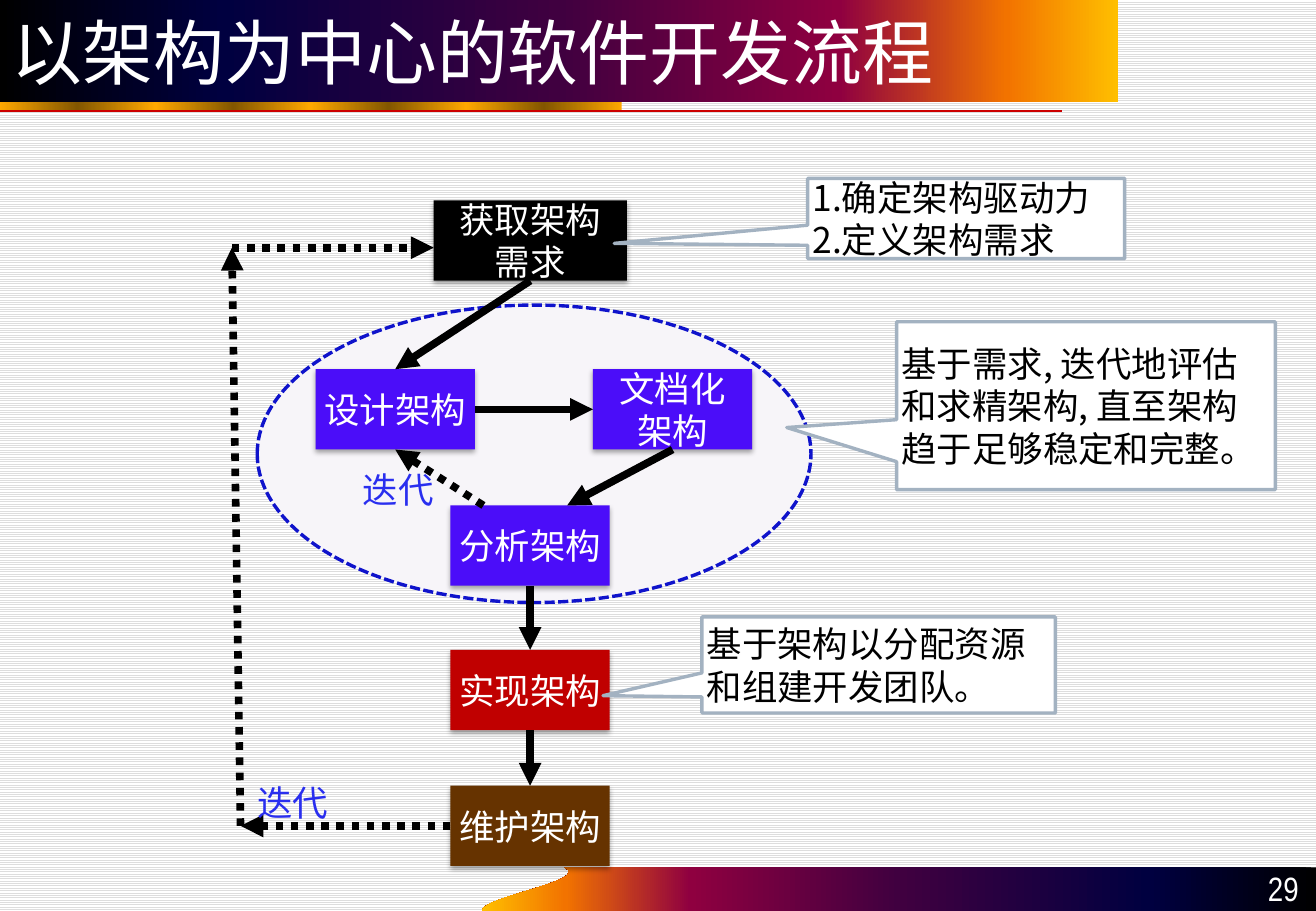
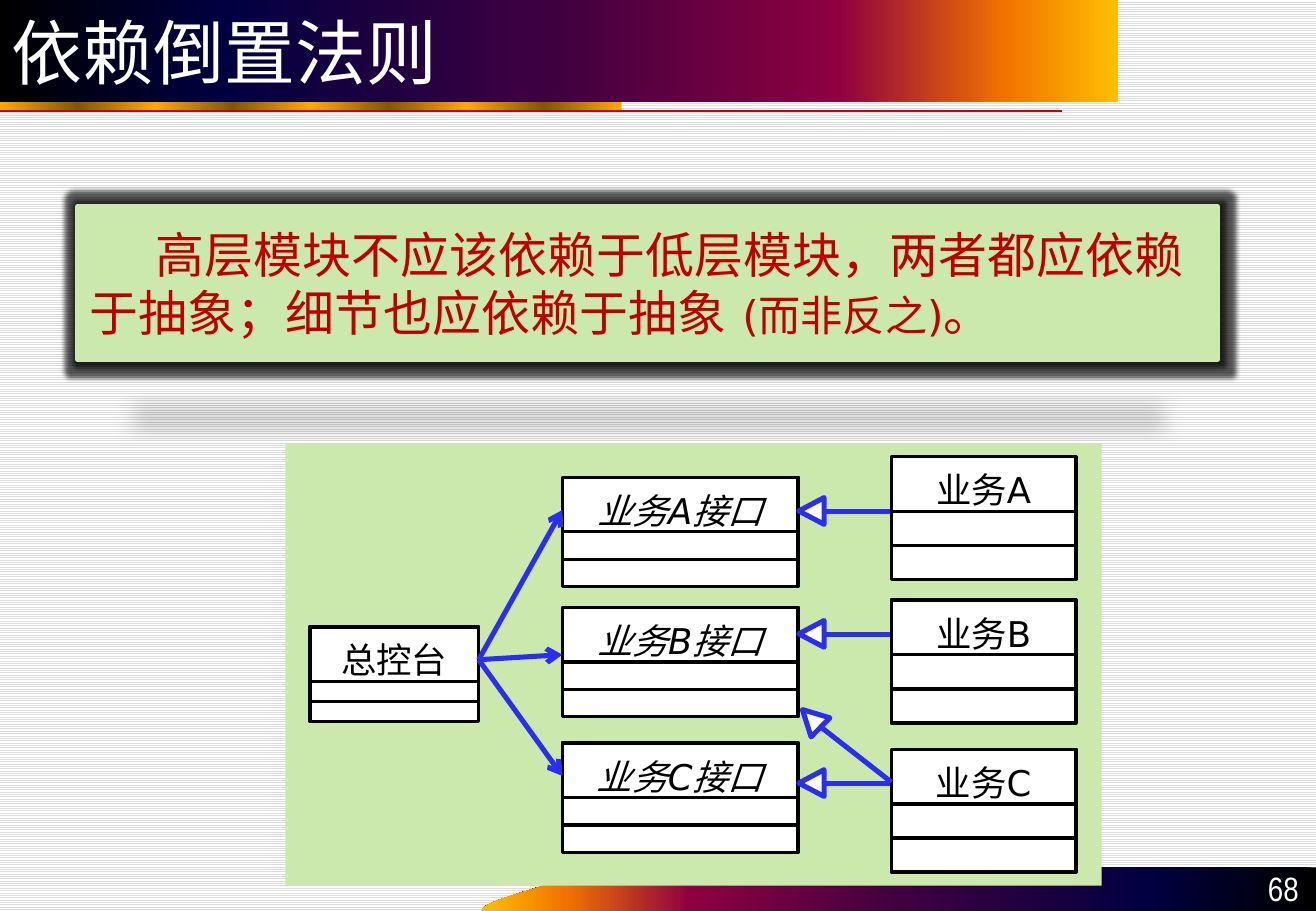
from dataclasses import dataclass
from typing import Any, NamedTuple, Optional

from pptx import Presentation
from pptx.dml.color import RGBColor
from pptx.enum.dml import MSO_LINE, MSO_PATTERN
from pptx.enum.shapes import MSO_CONNECTOR, MSO_SHAPE
from pptx.enum.text import MSO_ANCHOR, PP_ALIGN
from pptx.oxml.ns import qn
from pptx.oxml.xmlchemy import OxmlElement
from pptx.util import Cm, Pt

BLACK = RGBColor(0x00, 0x00, 0x00)
WHITE = RGBColor(0xFF, 0xFF, 0xFF)
STRIPE = RGBColor(0xDD, 0xDD, 0xDD)
RED = RGBColor(0xC0, 0x00, 0x00)
RULE_RED = RGBColor(0xCC, 0x00, 0x00)
VIOLET = RGBColor(0x4B, 0x0D, 0xF9)
BROWN = RGBColor(0x66, 0x33, 0x00)
BLUE = RGBColor(0x29, 0x2E, 0xEF)
DASH_BLUE = RGBColor(0x0F, 0x13, 0xCB)
PALE = RGBColor(0xF7, 0xF5, 0xF9)
GRAY_BLUE = RGBColor(0xA3, 0xB2, 0xC1)
GREEN = RGBColor(0xCC, 0xE9, 0xAD)
GOLD = RGBColor(0xFF, 0xA8, 0x00)
DARK_GOLD = RGBColor(0x82, 0x56, 0x00)
SUNSET = [(0, BLACK), (20, RGBColor(0x00, 0x00, 0x40)), (50, RGBColor(0x40, 0x00, 0x40)),
          (75, RGBColor(0x8F, 0x00, 0x40)), (90, RGBColor(0xF2, 0x73, 0x00)),
          (100, RGBColor(0xFF, 0xBF, 0x00))]
GOLD_BAND = [(i * 12.5, DARK_GOLD if i % 2 else GOLD) for i in range(9)]

CJK, SANS, NARROW = "Noto Sans CJK SC", "DejaVu Sans", "Arial Narrow"
BODY = {"name": CJK, "size": Pt(21), "color": BLACK}
BODY_SANS = {**BODY, "name": SANS}
TITLE = {"name": SANS, "size": Pt(42), "color": WHITE}
NUMBER = {"name": NARROW, "size": Pt(20), "color": WHITE}
TIGHT = {"margin_left": Cm(0.1), "margin_right": Cm(0.1),
         "margin_top": Cm(0.05), "margin_bottom": Cm(0.05)}
ROOMY = {"margin_left": Cm(0.25), "margin_right": Cm(0.25),
         "margin_top": Cm(0.13), "margin_bottom": Cm(0.13)}

SLIDE_W, SLIDE_H = 27.52, 19.05
TOP, LEFT, BOTTOM, RIGHT = range(4)
HEADER_H, DIVIDER = 1.37, 1.14


class Box(NamedTuple):
    x: float
    y: float
    w: float
    h: float


class Run(NamedTuple):
    text: str
    fmt: dict[str, Any]


@dataclass
class Step:
    text: str
    box: Box
    color: RGBColor


@dataclass
class Callout:
    paragraphs: list[str]
    box: Box
    tip: tuple[float, float]
    numbered: bool = False


@dataclass
class UmlClass:
    runs: list[Run]
    box: Box


def add_xml(parent: Any, tag: str, **attrs: Any) -> Any:
    el = OxmlElement(tag)
    for k, v in attrs.items():
        el.set(k, str(v))
    parent.append(el)
    return el


def write(sp: Any, paragraphs: list[list[Run]], align: Any = PP_ALIGN.LEFT,
          anchor: Any = MSO_ANCHOR.MIDDLE, margins: dict = TIGHT, wrap: bool = True) -> Any:
    tf = sp.text_frame
    for k, v in {**margins, "word_wrap": wrap, "vertical_anchor": anchor}.items():
        setattr(tf, k, v)
    for i, runs in enumerate(paragraphs):
        p = tf.add_paragraph() if i else tf.paragraphs[0]
        p.alignment = align
        for run in runs:
            for j, part in enumerate(run.text.split("\v")):
                if j:
                    p.add_line_break()
                r = p.add_run()
                r.text = part
                for k, v in run.fmt.items():
                    if k == "color":
                        r.font.color.rgb = v
                    else:
                        setattr(r.font, k, v)
                add_xml(r.font._element, "a:ea", typeface=run.fmt["name"])
    return tf


def set_line(line: Any, color: Optional[RGBColor], width: float, dash: Any = None) -> None:
    if color is None:
        line.fill.background()
        return
    line.color.rgb = color
    line.width = Pt(width)
    if dash:
        line.dash_style = dash


def add_box(s: Any, box: Box, fill: RGBColor, line: Optional[RGBColor] = None,
            width: float = 2, dash: Any = None, kind: Any = MSO_SHAPE.RECTANGLE) -> Any:
    sp = s.shapes.add_shape(kind, *map(Cm, box))
    sp.shadow.inherit = False
    sp.fill.solid()
    sp.fill.fore_color.rgb = fill
    set_line(sp.line, line, width, dash)
    return sp


def add_label(s: Any, box: Box, text: str, fmt: dict, **layout: Any) -> None:
    write(s.shapes.add_textbox(*map(Cm, box)), [[Run(text, fmt)]], **layout)


def add_line(s: Any, start: tuple, end: tuple, color: RGBColor, width: float,
             tail: str = "", dash: Any = None) -> None:
    ends = [start, end]
    points = [(0, 0) if hasattr(e[0], "shape_id") else e for e in ends]
    cx = s.shapes.add_connector(MSO_CONNECTOR.STRAIGHT, *(Cm(v) for pt in points for v in pt))
    for e, connect in zip(ends, (cx.begin_connect, cx.end_connect)):
        if hasattr(e[0], "shape_id"):
            connect(*e)
    add_xml(cx._element.spPr, "a:effectLst")
    set_line(cx.line, color, width, dash)
    if tail:
        add_xml(cx.line._get_or_add_ln(), "a:tailEnd", type=tail)


def add_shadow(sp: Any, alpha: int, blur: float, dist: float, glow: float = 0, **scale: int) -> None:
    effects = sp._element.spPr.find(qn("a:effectLst"))
    if glow:
        el = add_xml(effects, "a:glow", rad=Pt(glow))
        add_xml(add_xml(el, "a:srgbClr", val=BLACK), "a:alpha", val=65000)
    el = add_xml(effects, "a:outerShdw", blurRad=Pt(blur), dist=Pt(dist), dir=5400000,
                 **scale, algn="b", rotWithShape=0)
    add_xml(add_xml(el, "a:srgbClr", val=BLACK), "a:alpha", val=alpha * 1000)


def set_gradient(sp: Any, stops: list, angle: int = 0) -> None:
    sp.shadow.inherit = False
    sp.line.fill.background()
    sp.fill.gradient()
    sp.fill.gradient_angle = angle
    gs_list = sp._element.spPr.find(qn("a:gradFill")).find(qn("a:gsLst"))
    for gs in list(gs_list):
        gs_list.remove(gs)
    for pos, color in stops:
        add_xml(add_xml(gs_list, "a:gs", pos=int(pos * 1000)), "a:srgbClr", val=color)


def bezier(a: tuple, b: tuple, c: tuple, d: tuple, n: int = 16) -> list[tuple]:
    ts = [i / n for i in range(n + 1)]
    return [tuple(Cm((1 - t) ** 3 * p0 + 3 * t * (1 - t) ** 2 * p1
                     + 3 * t * t * (1 - t) * p2 + t ** 3 * p3)
                  for p0, p1, p2, p3 in zip(a, b, c, d)) for t in ts]


def add_frame(prs: Any, title: str, number: str) -> Any:
    s = prs.slides.add_slide(prs.slide_layouts[6])
    curve = bezier((10.08, SLIDE_H), (10.08, 18.75), (12.37, 18.42), (11.81, 18.14))
    fb = s.shapes.build_freeform(*curve[0], scale=1.0)
    corners = [(Cm(SLIDE_W), Cm(18.14)), (Cm(SLIDE_W), Cm(SLIDE_H))]
    fb.add_line_segments(curve[1:] + corners, close=True)
    set_gradient(fb.convert_to_shape(), SUNSET, 180)
    set_gradient(add_box(s, Box(0, 1.93, 13, 0.39), GOLD), GOLD_BAND)
    add_line(s, (0, 2.32), (22.2, 2.32), RULE_RED, 1)
    banner = add_box(s, Box(0, 0, 23.39, 2.13), BLACK)
    set_gradient(banner, SUNSET)
    write(banner, [[Run(title, TITLE)]], margins=ROOMY)
    add_label(s, Box(24.97, 18.11, 2.44, 1.02), number, NUMBER,
              align=PP_ALIGN.RIGHT, anchor=MSO_ANCHOR.BOTTOM, margins=ROOMY)
    return s


def add_step(s: Any, step: Step) -> Any:
    sp = add_box(s, step.box, step.color)
    add_shadow(sp, 35, 3.1, 1.8)
    write(sp, [[Run(step.text, {**BODY, "color": WHITE})]], PP_ALIGN.CENTER)
    return sp


def add_callout(s: Any, callout: Callout) -> None:
    sp = add_box(s, callout.box, WHITE, GRAY_BLUE, kind=MSO_SHAPE.RECTANGULAR_CALLOUT)
    for i, v in enumerate(callout.tip):
        sp.adjustments[i] = v
    tf = write(sp, [[Run(text, BODY)] for text in callout.paragraphs])
    if callout.numbered:
        for p in tf.paragraphs:
            pPr = p._p.get_or_add_pPr()
            pPr.set("marL", str(Cm(0.4)))
            pPr.set("indent", str(-Cm(0.4)))
            add_xml(pPr, "a:buFont", typeface="+mj-lt")
            add_xml(pPr, "a:buAutoNum", type="arabicPeriod")


def add_class(s: Any, uml: UmlClass) -> Any:
    x, y, w, h = uml.box
    add_box(s, uml.box, WHITE, BLACK)
    header = add_box(s, Box(x, y, w, HEADER_H), WHITE, BLACK)
    write(header, [uml.runs], PP_ALIGN.CENTER)
    add_box(s, Box(x, y + DIVIDER, w, (h - DIVIDER) / 2), WHITE, BLACK)
    return header


def add_triangle(s: Any, y: float, rotation: float) -> None:
    sp = add_box(s, Box(16.69, y, 0.56, 0.53), WHITE, BLUE, 3, kind=MSO_SHAPE.ISOSCELES_TRIANGLE)
    sp.rotation = rotation


def build_process(prs: Any) -> None:
    s = add_frame(prs, "以架构为中心的软件开发流程", "29")
    add_box(s, Box(5.38, 6.38, 11.58, 6.22), PALE, DASH_BLUE, 2, MSO_LINE.SQUARE_DOT, MSO_SHAPE.OVAL)
    w, h = 3.33, 1.68
    steps = [
        Step("获取架构\v需求", Box(9.07, 4.19, 4.04, h), BLACK),
        Step("设计架构", Box(6.6, 7.72, w, h), VIOLET),
        Step("文档化\v架构", Box(12.4, 7.72, w, h), VIOLET),
        Step("分析架构", Box(9.42, 10.57, w, h), VIOLET),
        Step("实现架构", Box(9.42, 13.59, w, h), RED),
        Step("维护架构", Box(9.42, 16.43, w, h), BROWN),
    ]
    gather, design, document, analyse, implement, maintain = [add_step(s, st) for st in steps]
    corner_low, corner_high = (5.03, 17.27), (4.85, 5.18)
    dotted = MSO_LINE.ROUND_DOT
    for start, end, dash in [
        ((gather, BOTTOM), (design, TOP), None),
        ((design, RIGHT), (document, LEFT), None),
        ((document, BOTTOM), (11.86, 10.57), None),
        ((10.11, 10.57), (design, BOTTOM), dotted),
        ((analyse, BOTTOM), (implement, TOP), None),
        ((implement, BOTTOM), (maintain, TOP), None),
        ((maintain, LEFT), corner_low, dotted),
        (corner_low, corner_high, dotted),
        (corner_high, (9.07, 5.18), dotted),
    ]:
        add_line(s, start, end, BLACK, 4.5, "triangle", dash)
    for callout in [
        Callout(["确定架构驱动力", "定义架构需求"], Box(16.89, 3.73, 6.63, 1.68), (-1.11, 0.31), True),
        Callout(["基于需求, 迭代地评估和求精架构, 直至架构趋于足够稳定和完整。"],
                Box(18.75, 6.73, 7.92, 3.51), (-0.79, 0.13)),
        Callout(["基于架构以分配资源和组建开发团队。"], Box(14.68, 12.9, 7.39, 2.01), (-0.78, 0.32)),
    ]:
        add_callout(s, callout)
    for x, y in [(5.28, 16.28), (7.49, 9.73)]:
        add_label(s, Box(x, y, 1.73, 1.02), "迭代", {**BODY, "color": BLUE},
                  anchor=MSO_ANCHOR.TOP, wrap=False)


def build_inversion(prs: Any) -> None:
    s = add_frame(prs, "依赖倒置法则", "68")
    principle = add_box(s, Box(1.63, 4.32, 23.83, 3.2), GREEN, GREEN, 3)
    add_shadow(principle, 15, 12, 25, glow=6, sx=90000, sy=-19000)
    large = {"name": SANS, "size": Pt(29), "color": RED}
    tf = write(principle, [[Run("高层模块不应该依赖于低层模块，两者都应依赖于抽象；细节也应依赖于抽象 ", large),
                            Run("(而非反之)", {**large, "size": Pt(25)}),
                            Run("。", large)]], margins=ROOMY)
    tf.paragraphs[0]._p.get_or_add_pPr().set("indent", str(Cm(1.38)))
    add_box(s, Box(5.97, 9.27, 17.07, 9.25), GREEN)

    console = add_class(s, UmlClass([Run("总控台", BODY_SANS)], Box(6.48, 13.11, 3.53, 1.98)))
    interfaces, classes = [], []
    for letter, interface_y, arrow_y, class_y in [
        ("A", 9.98, 10.69, 9.55), ("B", 12.7, 13.26, 12.55), ("C", 15.54, 16.38, 15.67),
    ]:
        runs = [Run("业务", BODY), Run(letter, BODY_SANS), Run("接口", BODY)]
        italic = [Run(r.text, {**r.fmt, "italic": True}) for r in runs]
        interfaces.append(add_class(s, UmlClass(italic, Box(11.76, interface_y, 4.93, 2.29))))
        add_triangle(s, arrow_y - 0.27, 270)
        add_line(s, (17.22, arrow_y), (19.33, arrow_y), BLUE, 3)
        classes.append(add_class(s, UmlClass(runs[:2], Box(18.64, class_y, 3.86, 2.57))))
    for end in [(interfaces[0], LEFT), (11.76, 13.69), (interfaces[2], LEFT)]:
        add_line(s, (console, RIGHT), end, BLUE, 3, "arrow")
    add_triangle(s, 14.76, 314.6)
    add_line(s, (17.15, 15.19), (classes[2], LEFT), BLUE, 3)


def main() -> None:
    prs = Presentation()
    prs.slide_width, prs.slide_height = Cm(SLIDE_W), Cm(SLIDE_H)
    fill = prs.slide_master.background.fill
    fill.patterned()
    fill.pattern = MSO_PATTERN.LIGHT_HORIZONTAL
    fill.fore_color.rgb = STRIPE
    fill.back_color.rgb = WHITE
    build_process(prs)
    build_inversion(prs)
    prs.save("out.pptx")


if __name__ == "__main__":
    main()
